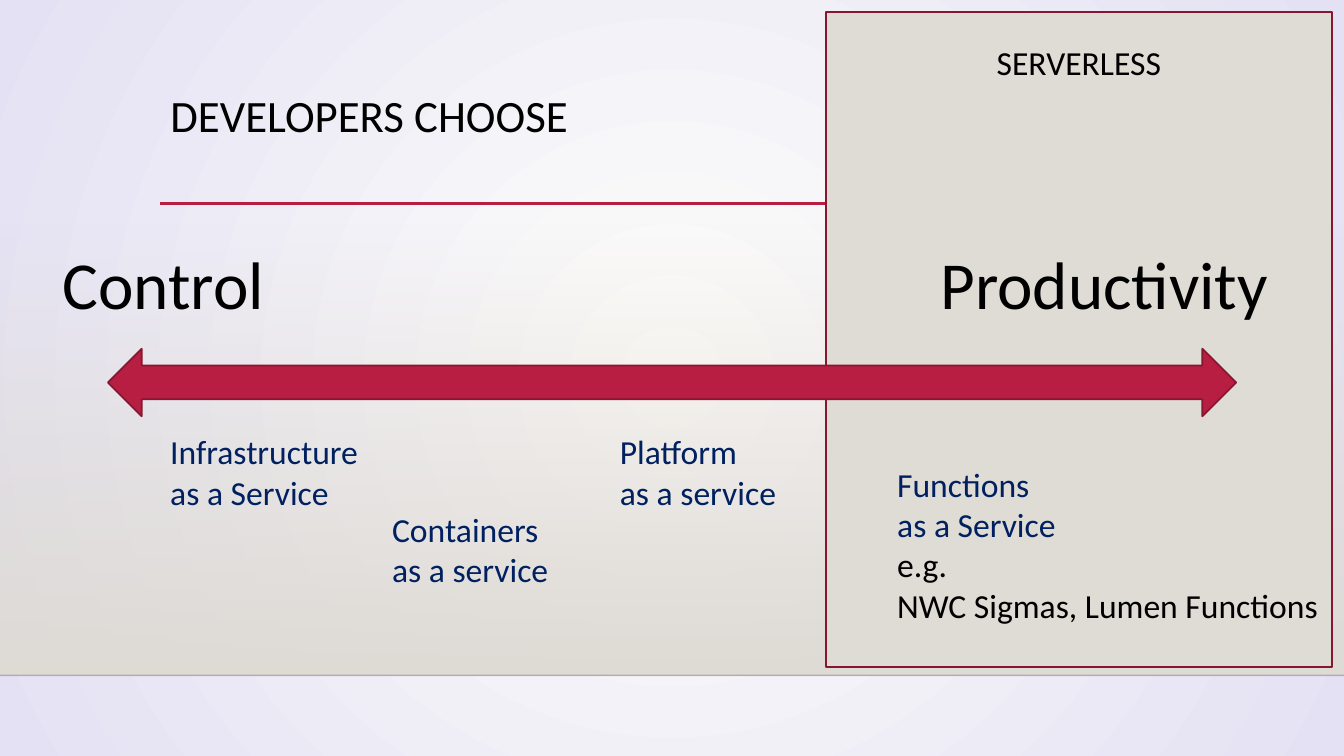
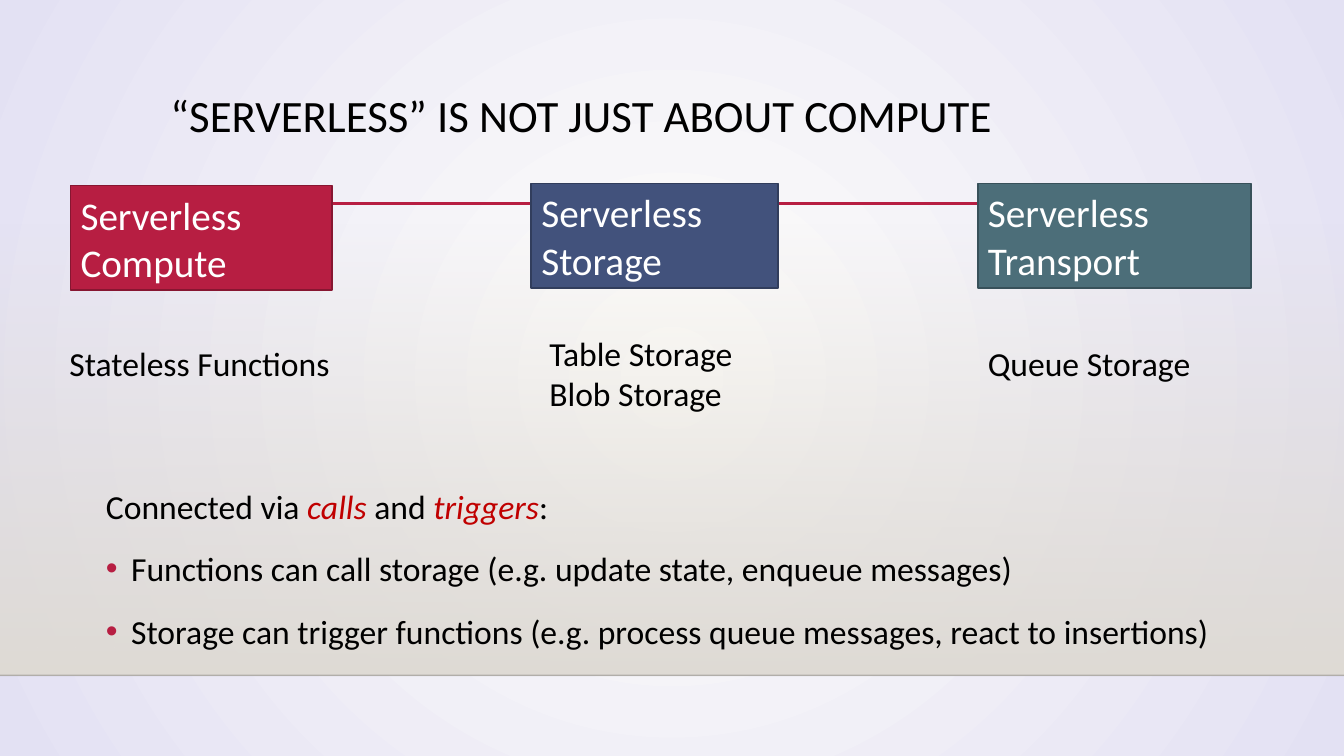
from lxml import etree
from pptx import Presentation, util as u
from pptx.dml.color import RGBColor
from pptx.enum import shapes, text
from pptx.oxml.ns import qn

WIDTH, HEIGHT = 13.33, 7.5
FONT = "Calibri"
COLOURS = {
    "black": "000000", "white": "FFFFFF", "navy": "002060", "emphasis": "C00000",
    "centre": "FFFEFB", "edge": "E3E1F3", "sand": "DFDBD5", "hairline": "000001",
    "red": "B71E42", "red_edge": "871631", "blue": "42527C", "blue_edge": "313D5C",
    "teal": "4C6E79", "teal_edge": "38515A",
}
TITLE_BOX = (1.59, 0.88, 10.5, 1.15)
BAND_TOP, BAND_BOTTOM = 2.21, 6.7
LINE_HEIGHT, INSET = 0.41, 0.1

# Slide 1
CHOICE_TITLE = "DEVELOPERS CHOOSE"
PANEL = (8.19, 0.12, 5.02, 6.5)
ARROW = (1.07, 3.46, 11.19, 0.67)
EXTREMES = [("Control", 0.52, 2.38), ("Productivity", 9.23, 3.47)]
SERVICES = [  # paragraphs with colours, left, top, width
    ([("Infrastructure\vas a Service", "navy")], 1.59, 4.23, 2.44),
    ([("Containers\vas a service", "navy")], 3.79, 5, 2.31),
    ([("Platform\vas a service", "navy")], 6.05, 4.23, 1.84),
    ([("Functions\vas a Service", "navy"),
      ("e.g.\vNWC Sigmas, Lumen Functions", "black")], 8.8, 4.55, 4.89),
]

# Slide 2
COMPUTE_TITLE = "“SERVERLESS” IS NOT JUST ABOUT COMPUTE"
PILLARS = [  # heading, colour, box left, top, width; examples, left, top
    ("Serverless Compute", "red", 0.7, 1.84, 2.59, ["Stateless Functions"], 0.59, 3.35),
    ("Serverless Storage", "blue", 5.27, 1.82, 2.45,
     ["Table Storage", "Blob Storage"], 5.35, 3.25),
    ("Serverless Transport", "teal", 9.7, 1.82, 2.71, ["Queue Storage"], 9.7, 3.35),
]
PILLAR_HEIGHT, EXAMPLE_WIDTH = 1.04, 2.97
BODY_BOX = (0.95, 4.69, 12.2, 1.93)
LEAD = [("Connected via ", False), ("calls ", True), ("and ", False),
        ("triggers", True), (":", False)]
BULLETS = [
    "Functions can call storage (e.g. update state, enqueue messages)",
    "Storage can trigger functions (e.g. process queue messages, react to insertions)",
]


def rgb(name):
    return RGBColor.from_string(COLOURS[name])


def inches(values):
    return [u.Inches(value) for value in values]


def style(paragraph, size, colour, align=text.PP_ALIGN.LEFT):
    paragraph.alignment = align
    for run in paragraph.runs:
        run.font.name, run.font.size = FONT, u.Pt(size)
        run.font.color.rgb = rgb(colour)


def add_block(slide, kind, box, fill, edge=None):
    shape = slide.shapes.add_shape(kind, *inches(box))
    shape.shadow.inherit = False
    shape.fill.solid()
    shape.fill.fore_color.rgb = rgb(fill)
    if edge:
        shape.line.color.rgb = rgb(edge)
        shape.line.width = u.Pt(1.25)
    else:
        shape.line.fill.background()
    return shape


def add_rule(slide, left, right, top, colour, width):
    rule = slide.shapes.add_connector(
        shapes.MSO_CONNECTOR.STRAIGHT, *inches((left, top, right, top)))
    rule.line.color.rgb = rgb(colour)
    rule.line.width = u.Pt(width)
    etree.SubElement(rule.element.spPr, qn("a:effectLst"))
    return rule


def add_text(slide, paragraphs, box, size=24, align=text.PP_ALIGN.LEFT, wrap=True):
    """Add a text box from (text, colour) paragraphs."""
    frame = slide.shapes.add_textbox(*inches(box)).text_frame
    frame.word_wrap = wrap
    frame.text = "\n".join(line for line, _ in paragraphs)
    for paragraph, (_, colour) in zip(frame.paragraphs, paragraphs):
        style(paragraph, size, colour, align)


def place(placeholder, box):
    placeholder.left, placeholder.top, placeholder.width, placeholder.height = inches(box)
    frame = placeholder.text_frame
    frame.word_wrap = True
    frame.auto_size = text.MSO_AUTO_SIZE.NONE
    frame.vertical_anchor = text.MSO_ANCHOR.TOP
    return frame


def set_title(slide, title):
    frame = place(slide.shapes.title, TITLE_BOX)
    frame.text = title
    frame.paragraphs[0].line_spacing = 0.9
    style(frame.paragraphs[0], 32, "black")


def set_stops(fill, *names):
    fill.gradient()
    for stop, name in zip(fill.gradient_stops, names):
        stop.color.rgb = rgb(name)


def set_alpha(element, percent):
    """Set the opacity of the first colour in the element."""
    colour = next(element.iter(qn("a:srgbClr")))
    etree.SubElement(colour, qn("a:alpha"), val=str(percent * 1000))


def decorate_master(master, slide):
    """Build the shared backdrop on a slide, then move it to the master."""
    set_stops(master.background.fill, "centre", "edge")
    gradient = next(master.element.iter(qn("a:gradFill")))
    linear = gradient.find(qn("a:lin"))
    radial = etree.Element(qn("a:path"), path="circle")
    etree.SubElement(radial, qn("a:fillToRect"),
                     {side: "50000" for side in "ltrb"})
    gradient.replace(linear, radial)

    band = add_block(slide, shapes.MSO_SHAPE.RECTANGLE,
                     (0, BAND_TOP, WIDTH, BAND_BOTTOM - BAND_TOP), "sand")
    set_stops(band.fill, "sand", "sand")
    band.fill.gradient_angle = 270
    set_alpha(band.element.spPr, 0)
    hairline = add_rule(slide, 0, WIDTH, BAND_BOTTOM, "hairline", 1)
    set_alpha(hairline.element.spPr, 20)
    title_rule = add_rule(slide, 1.59, 12.1, 2.02, "red", 2.5)
    for index, shape in enumerate((band, hairline, title_rule)):
        next(shape.element.iter(qn("p:cNvPr"))).set("id", str(100 + index))
        master.shapes.element.insert(2 + index, shape.element)


def set_bullet(paragraph, bulleted):
    properties = paragraph._p.get_or_add_pPr()
    indent = u.Inches(0.25) if bulleted else 0
    properties.set("marL", str(indent))
    properties.set("indent", str(-indent))
    if bulleted:
        colour = etree.SubElement(properties, qn("a:buClr"))
        etree.SubElement(colour, qn("a:srgbClr"), val=COLOURS["red"])
        etree.SubElement(properties, qn("a:buFont"), typeface="Arial")
        etree.SubElement(properties, qn("a:buChar"), char="•")
    else:
        etree.SubElement(properties, qn("a:buNone"))


def build_choice(slide):
    set_title(slide, CHOICE_TITLE)
    add_block(slide, shapes.MSO_SHAPE.RECTANGLE, PANEL, "sand", "red_edge")
    add_block(slide, shapes.MSO_SHAPE.LEFT_RIGHT_ARROW, ARROW, "red", "red_edge")
    for label, left, width in EXTREMES:
        add_text(slide, [(label, "black")], (left, 2.35, width, 0.91), 48, wrap=False)
    add_text(slide, [("SERVERLESS", "black")], (PANEL[0], 0.37, PANEL[2], 0.5),
             align=text.PP_ALIGN.CENTER)
    for paragraphs, left, top, width in SERVICES:
        height = 2 * len(paragraphs) * LINE_HEIGHT + INSET
        add_text(slide, paragraphs, (left, top, width, height))


def build_compute(slide):
    set_title(slide, COMPUTE_TITLE)
    for heading, colour, left, top, width, examples, text_left, text_top in PILLARS:
        block = add_block(slide, shapes.MSO_SHAPE.RECTANGLE,
                          (left, top, width, PILLAR_HEIGHT), colour, colour + "_edge")
        block.text_frame.word_wrap = True
        block.text_frame.text = heading
        style(block.text_frame.paragraphs[0], 28, "white")
        add_text(slide, [(example, "black") for example in examples],
                 (text_left, text_top, EXAMPLE_WIDTH,
                  len(examples) * LINE_HEIGHT + INSET))

    frame = place(slide.placeholders[1], BODY_BOX)
    frame.text = "\n".join(["", *BULLETS])
    for words, _ in LEAD:
        frame.paragraphs[0].add_run().text = words
    for index, paragraph in enumerate(frame.paragraphs):
        style(paragraph, 24, "black")
        paragraph.line_spacing = 1.2
        paragraph.space_before = u.Pt(10)
        set_bullet(paragraph, index > 0)
    for run, (_, emphasised) in zip(frame.paragraphs[0].runs, LEAD):
        if emphasised:
            run.font.italic = True
            run.font.color.rgb = rgb("emphasis")


def main():
    presentation = Presentation()
    presentation.slide_width, presentation.slide_height = inches((WIDTH, HEIGHT))
    layouts = presentation.slide_layouts
    choice = presentation.slides.add_slide(layouts.get_by_name("Title Only"))
    decorate_master(presentation.slide_master, choice)
    build_choice(choice)
    build_compute(presentation.slides.add_slide(layouts.get_by_name("Title and Content")))
    presentation.save("out.pptx")


if __name__ == "__main__":
    main()
